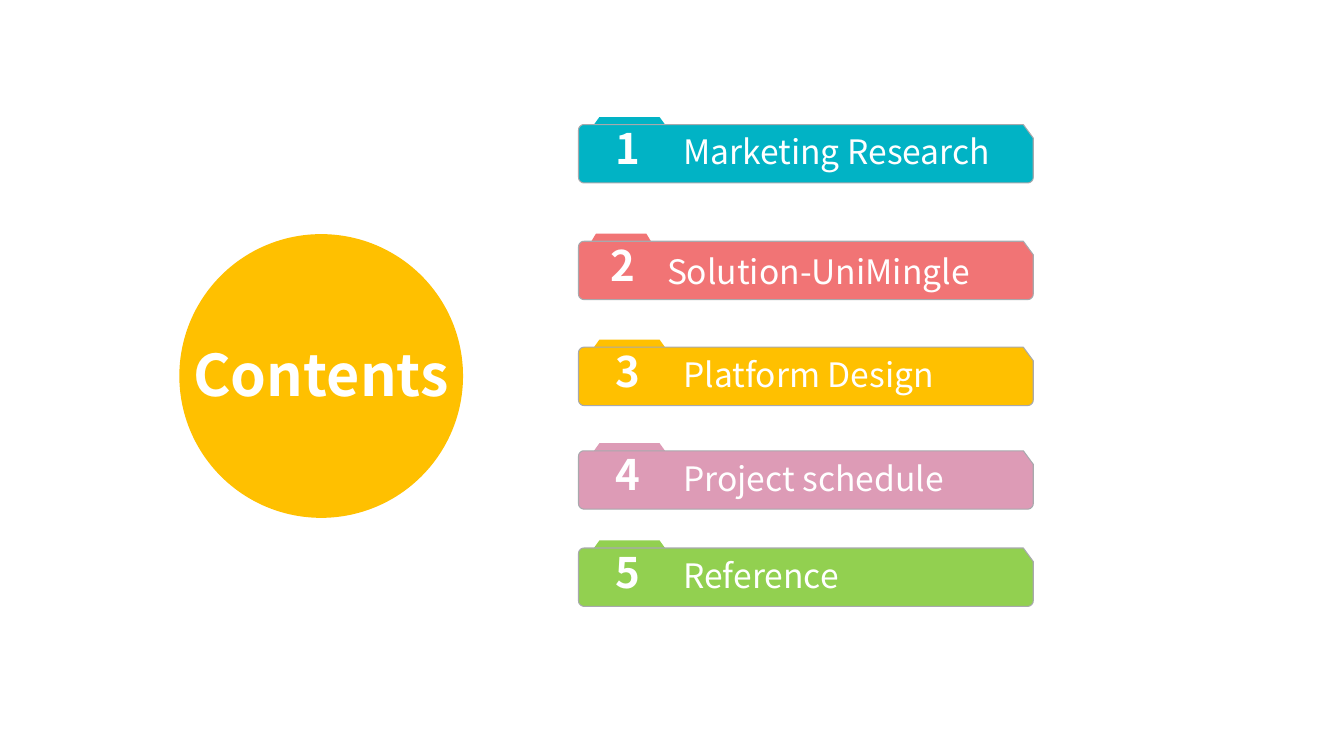
import math

from pptx import Presentation
from pptx.dml.color import RGBColor
from pptx.enum.shapes import MSO_SHAPE
from pptx.enum.text import MSO_ANCHOR, PP_ALIGN
from pptx.util import Cm, Pt

OVAL = MSO_SHAPE.OVAL
MIDDLE = MSO_ANCHOR.MIDDLE
LEFT, CENTER = PP_ALIGN.LEFT, PP_ALIGN.CENTER

WHITE = RGBColor(0xFF, 0xFF, 0xFF)
OUTLINE = RGBColor(0xA8, 0xA9, 0xAD)
TEAL = RGBColor(0x01, 0xB3, 0xC5)
CORAL = RGBColor(0xF1, 0x74, 0x75)
AMBER = RGBColor(0xFF, 0xC0, 0x00)
PINK = RGBColor(0xDD, 0x9B, 0xB6)
GREEN = RGBColor(0x92, 0xD0, 0x50)

FONT = "Noto Sans CJK SC"
FOLDER_LEFT, FOLDER_WIDTH, FOLDER_HEIGHT = 14.58, 11.46, 1.47
CORNER, CUT_WIDTH, CUT_HEIGHT = 0.14, 0.25, 0.34
TAB_HEIGHT, TAB_OVERLAP = 0.23, 0.04

WIDE_LAYOUT = dict(tab_x=0.36, tab_width=1.85, number_x=0.94, label_x=2.64, label_drop=-0.06)
NARROW_LAYOUT = dict(tab_x=0.3, tab_width=1.55, number_x=0.81, label_x=2.23, label_drop=0.02)

SECTIONS = [
    ("1", "Marketing Research", TEAL, 3.14, WIDE_LAYOUT),
    ("2", "Solution-UniMingle", CORAL, 6.08, NARROW_LAYOUT),
    ("3", "Platform Design", AMBER, 8.75, WIDE_LAYOUT),
    ("4", "Project schedule", PINK, 11.36, WIDE_LAYOUT),
    ("5", "Reference", GREEN, 13.81, WIDE_LAYOUT),
]


def write(frame, text, size, bold, align):
    frame.margin_left = frame.margin_right = frame.margin_top = frame.margin_bottom = 0
    frame.vertical_anchor = MIDDLE
    paragraph = frame.paragraphs[0]
    paragraph.alignment = align
    run = paragraph.add_run()
    run.text = text
    run.font.name = FONT
    run.font.size = Pt(size)
    run.font.bold = bold
    run.font.color.rgb = WHITE


def add_outline(shapes, points, color):
    corners = [(Cm(x), Cm(y)) for x, y in points]
    builder = shapes.build_freeform(*corners[0])
    builder.add_line_segments(corners[1:], close=True)
    outline = builder.convert_to_shape()
    outline.shadow.inherit = False
    outline.fill.solid()
    outline.fill.fore_color.rgb = color
    outline.line.fill.background()
    return outline


def add_text(shapes, left, top, width, height, text, size, bold):
    box = shapes.add_textbox(Cm(left), Cm(top), Cm(width), Cm(height))
    box.text_frame.word_wrap = True
    write(box.text_frame, text, size, bold, LEFT)


def rounded_corner(center_x, center_y, start):
    angles = [math.radians(start + step) for step in range(0, 91, 15)]
    return [(center_x + CORNER * math.cos(a), center_y + CORNER * math.sin(a)) for a in angles]


def add_folder(slide, left, top, width, height, number, label, color, layout):
    shapes = slide.shapes.add_group_shape().shapes
    right, bottom = left + width, top + height

    tab_left = left + layout["tab_x"]
    tab_right = tab_left + layout["tab_width"]
    tab_bottom = top + TAB_OVERLAP
    tab_top = tab_bottom - TAB_HEIGHT
    slope = layout["tab_width"] * 0.09
    add_outline(shapes, [(tab_left + slope, tab_top), (tab_right - slope, tab_top),
                         (tab_right, tab_bottom), (tab_left, tab_bottom)], color)

    body_points = [(right - CUT_WIDTH, top), (right, top + CUT_HEIGHT)]
    body_points += rounded_corner(right - CORNER, bottom - CORNER, 0)
    body_points += rounded_corner(left + CORNER, bottom - CORNER, 90)
    body_points += rounded_corner(left + CORNER, top + CORNER, 180)
    body = add_outline(shapes, body_points, color)
    body.line.color.rgb = OUTLINE
    body.line.width = Pt(0)

    label_x = layout["label_x"]
    add_text(shapes, left + label_x, top + layout["label_drop"], width - label_x, height,
             label, 24, False)
    add_text(shapes, left + layout["number_x"], top - 0.15, 1, height, number, 30, True)


def add_title_circle(slide, left, top, diameter):
    circle = slide.shapes.add_shape(OVAL, Cm(left), Cm(top), Cm(diameter), Cm(diameter))
    circle.shadow.inherit = False
    circle.fill.solid()
    circle.fill.fore_color.rgb = AMBER
    circle.line.fill.background()
    circle.text_frame.word_wrap = False
    write(circle.text_frame, "Contents", 41, True, CENTER)
    circle.text_frame.margin_bottom = Cm(0.1)


def main():
    deck = Presentation()
    deck.slide_width, deck.slide_height = Cm(33.87), Cm(19.05)
    slide = deck.slides.add_slide(deck.slide_layouts[6])
    add_title_circle(slide, 4.52, 5.9, 7.15)
    for number, label, color, top, layout in SECTIONS:
        add_folder(slide, FOLDER_LEFT, top, FOLDER_WIDTH, FOLDER_HEIGHT,
                   number, label, color, layout)
    deck.save("out.pptx")


if __name__ == "__main__":
    main()
